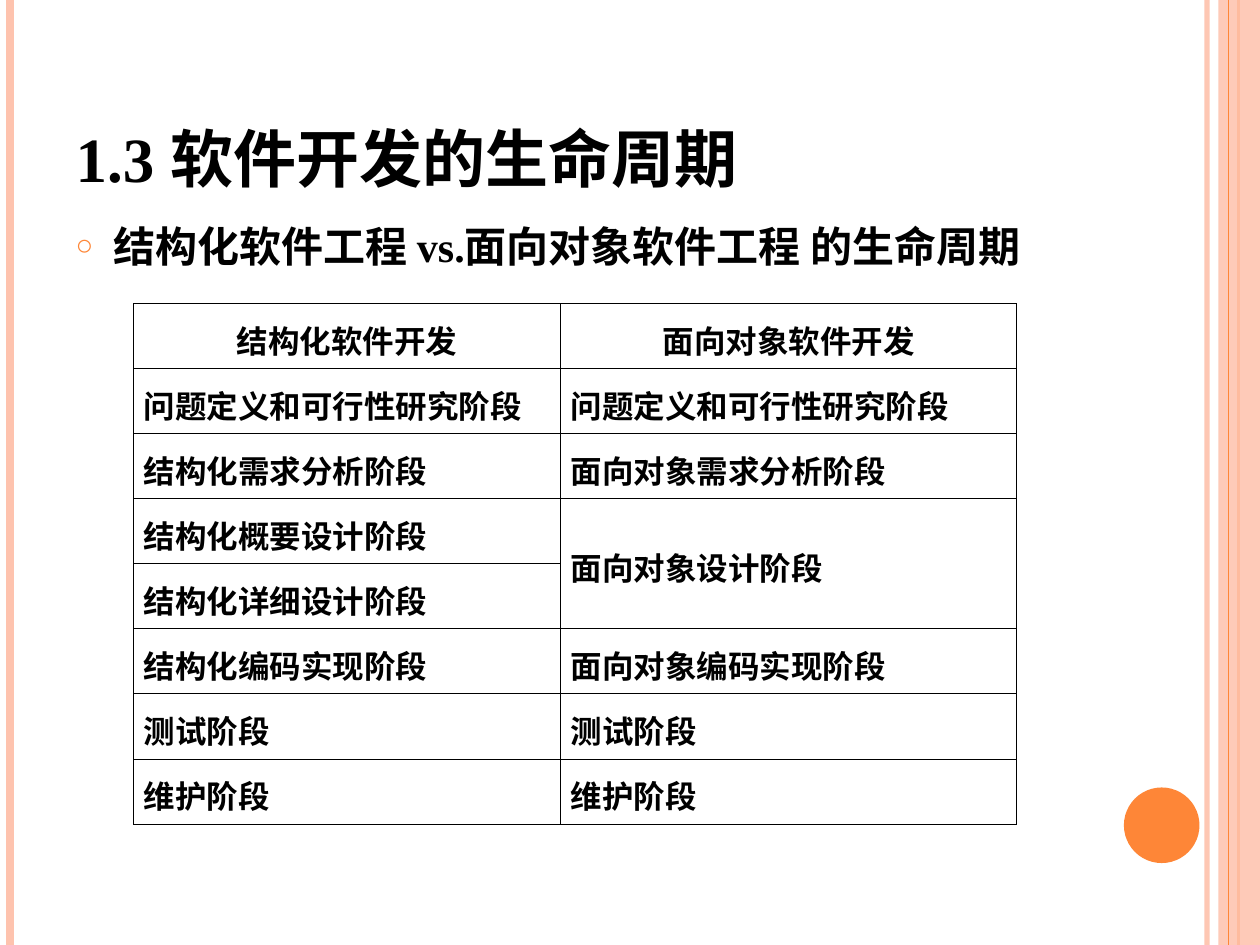
from dataclasses import dataclass

from lxml.etree import SubElement
from pptx import Presentation
from pptx.dml.color import RGBColor
from pptx.enum.shapes import MSO_CONNECTOR, MSO_SHAPE
from pptx.enum.text import MSO_ANCHOR as Anchor, MSO_AUTO_SIZE, PP_ALIGN as Align
from pptx.oxml.ns import qn
from pptx.util import Inches, Pt


@dataclass(frozen=True)
class Theme:
    paper: str = "FFFFFF"
    ink: str = "000000"
    accent: str = "FE8637"
    tint: str = "FEC3AE"
    latin: str = "Times New Roman"
    cjk: str = "Noto Sans CJK SC"
    title_size: float = 36
    body_size: float = 24
    table_size: float = 18
    border: float = 0.45


COLUMNS, ROWS = 100, 75
STAGES = [
    ("结构化软件开发", "面向对象软件开发"),
    ("问题定义和可行性研究阶段", "问题定义和可行性研究阶段"),
    ("结构化需求分析阶段", "面向对象需求分析阶段"),
    ("结构化概要设计阶段", "面向对象设计阶段"),
    ("结构化详细设计阶段", None),  # None continues the cell above
    ("结构化编码实现阶段", "面向对象编码实现阶段"),
    ("测试阶段", "测试阶段"),
    ("维护阶段", "维护阶段"),
]
STAGE_WIDTHS = [33.9, 36.2]
STAGE_HEIGHTS = [4.2, 4.3, 4.5, 4.9, 4.9, 4.6, 4.9, 4.9]


def set_all(target, values):
    for name, value in values.items():
        setattr(target, name, value)


def set_alpha(fill_owner, percent):
    color = next(fill_owner.iter(qn("a:srgbClr")))
    SubElement(color, qn("a:alpha"), val=str(percent * 1000))


class SlideBuilder:
    def __init__(self, theme):
        self.theme = theme
        self.deck = Presentation()
        set_all(self.deck, {"slide_width": Inches(10), "slide_height": Inches(7.5)})
        self.slide = self.deck.slides.add_slide(self.deck.slide_layouts[1])
        background = self.slide.background.fill
        background.solid()
        background.fore_color.rgb = RGBColor.from_string(theme.paper)

    def x(self, columns):
        return round(self.deck.slide_width * columns / COLUMNS)

    def y(self, rows):
        return round(self.deck.slide_height * rows / ROWS)

    def box(self, left, top, width, height):
        return self.x(left), self.y(top), self.x(width), self.y(height)

    def stripe(self, column, color, weight, alpha=100):
        """Draw a vertical line over the full height of the slide."""
        x = self.x(column)
        stripe = self.slide.shapes.add_connector(
            MSO_CONNECTOR.STRAIGHT, x, 0, x, self.y(ROWS))
        stripe.line.color.rgb = RGBColor.from_string(color)
        stripe.line.width = Pt(weight)
        properties = stripe._element.spPr
        SubElement(properties, qn("a:effectLst"))
        if alpha < 100:
            set_alpha(properties, alpha)

    def shape(self, kind, area, color, alpha=100):
        shape = self.slide.shapes.add_shape(kind, *self.box(*area))
        shape.shadow.inherit = False
        shape.fill.solid()
        shape.fill.fore_color.rgb = RGBColor.from_string(color)
        shape.line.fill.background()
        if alpha < 100:
            set_alpha(shape._element.spPr, alpha)

    def add_text(self, paragraph, text, size, latin):
        run = paragraph.add_run()
        run.text = text
        set_all(run.font, {"size": Pt(size), "name": latin, "bold": True})
        run.font.color.rgb = RGBColor.from_string(self.theme.ink)
        SubElement(run._r.get_or_add_rPr(), qn("a:ea"), typeface=self.theme.cjk)

    def placeholder(self, index, area, anchor, text, size):
        """Move and fill a placeholder; return its paragraph."""
        holder = self.slide.placeholders[index]
        set_all(holder, dict(zip(("left", "top", "width", "height"), self.box(*area))))
        frame = holder.text_frame
        set_all(frame, {"word_wrap": True, "auto_size": MSO_AUTO_SIZE.NONE,
                        "vertical_anchor": anchor, "margin_top": 0, "margin_bottom": 0})
        paragraph = frame.paragraphs[0]
        set_all(paragraph, {"alignment": Align.LEFT, "space_before": Pt(0)})
        self.add_text(paragraph, text, size, self.theme.latin)
        return paragraph

    def title(self, area, text):
        self.placeholder(0, area, Anchor.BOTTOM, text, self.theme.title_size)

    def bullet(self, area, text):
        paragraph = self.placeholder(1, area, Anchor.TOP, text, self.theme.body_size)
        properties = paragraph._p.get_or_add_pPr()
        indent = self.x(3)
        properties.set("marL", str(indent))
        properties.set("indent", str(-indent))
        color = SubElement(properties, qn("a:buClr"))
        SubElement(color, qn("a:srgbClr"), val=self.theme.accent)
        SubElement(properties, qn("a:buSzPct"), val="70000")
        SubElement(properties, qn("a:buChar"), char="○")

    def borders(self, cell):
        properties = cell._tc.get_or_add_tcPr()
        for position, side in enumerate(("lnL", "lnR", "lnT", "lnB")):
            edge = properties.makeelement(
                qn(f"a:{side}"), {"w": str(Pt(self.theme.border))})
            fill = SubElement(edge, qn("a:solidFill"))
            SubElement(fill, qn("a:srgbClr"), val=self.theme.ink)
            properties.insert(position, edge)

    def cell(self, cell, text, alignment):
        set_all(cell, {"vertical_anchor": Anchor.MIDDLE,
                       "margin_left": Inches(0.08), "margin_right": Inches(0.08),
                       "margin_top": Inches(0.05), "margin_bottom": Inches(0.05)})
        cell.fill.background()
        self.borders(cell)
        if text:
            paragraph = cell.text_frame.paragraphs[0]
            set_all(paragraph, {"alignment": alignment, "line_spacing": 1.15})
            self.add_text(paragraph, text, self.theme.table_size, self.theme.cjk)

    def table(self, left, top, widths, heights, rows):
        area = self.box(left, top, sum(widths), sum(heights))
        table = self.slide.shapes.add_table(len(rows), len(widths), *area).table
        set_all(table, {"first_row": False, "horz_banding": False})
        for column, width in zip(table.columns, widths):
            column.width = self.x(width)
        for r, (height, texts) in enumerate(zip(heights, rows)):
            table.rows[r].height = self.y(height)
            for c, text in enumerate(texts):
                self.cell(table.cell(r, c), text, Align.JUSTIFY if r else Align.CENTER)
                if text is None:
                    table.cell(r - 1, c).merge(table.cell(r, c))


def main():
    theme = Theme()
    page = SlideBuilder(theme)
    page.stripe(95.8, theme.tint, 3, alpha=93)
    page.stripe(0.8, theme.tint, 4.5)
    page.stripe(98.3, theme.accent, 1.5)
    page.shape(MSO_SHAPE.RECTANGLE, (96.7, 0, 3.3, ROWS), theme.tint, alpha=87)
    page.stripe(97.5, theme.accent, 0.75)
    page.shape(MSO_SHAPE.OVAL, (89.2, 62.5, 6, 6), theme.accent)
    page.title((5, 3, 86, 12.5), "1.3 软件开发的生命周期")
    page.bullet((5, 17.5, 81.7, 53.3), "结构化软件工程 vs.面向对象软件工程 的生命周期")
    page.table(10.6, 24.1, STAGE_WIDTHS, STAGE_HEIGHTS, STAGES)
    page.deck.save("out.pptx")


if __name__ == "__main__":
    main()
